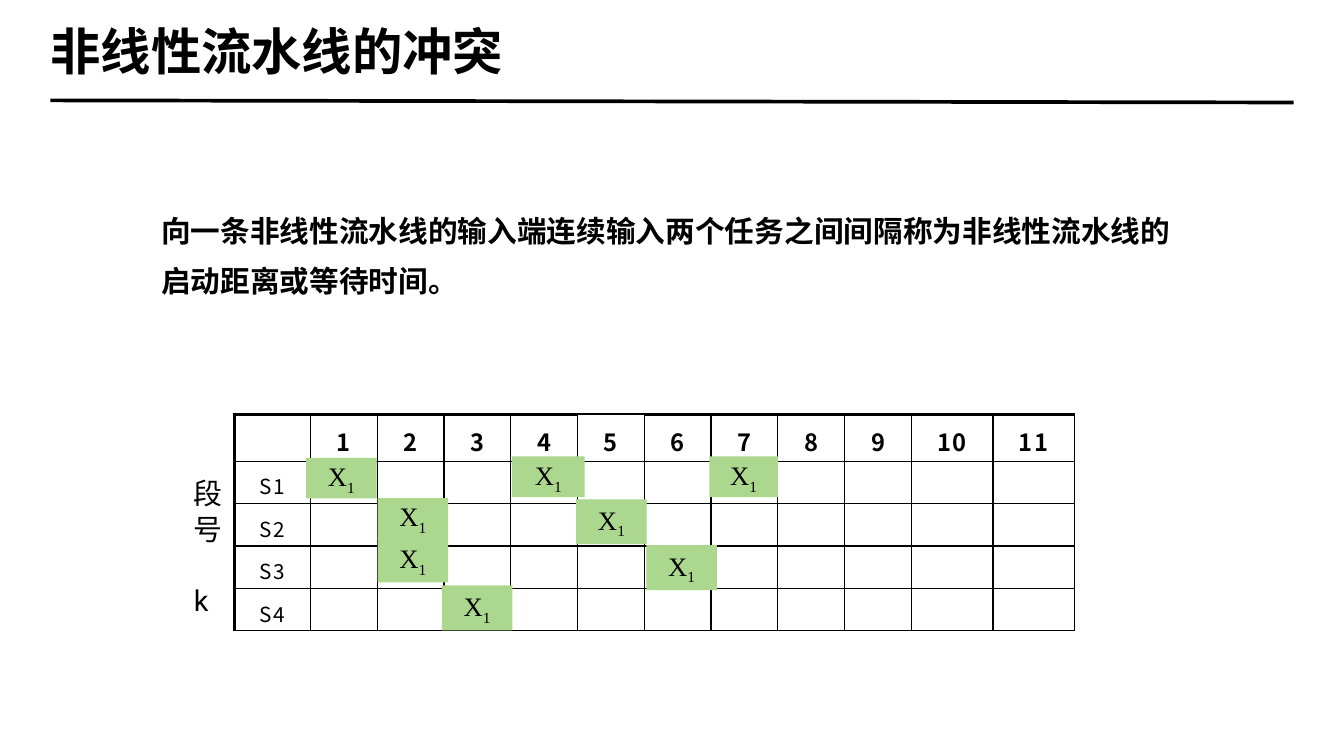
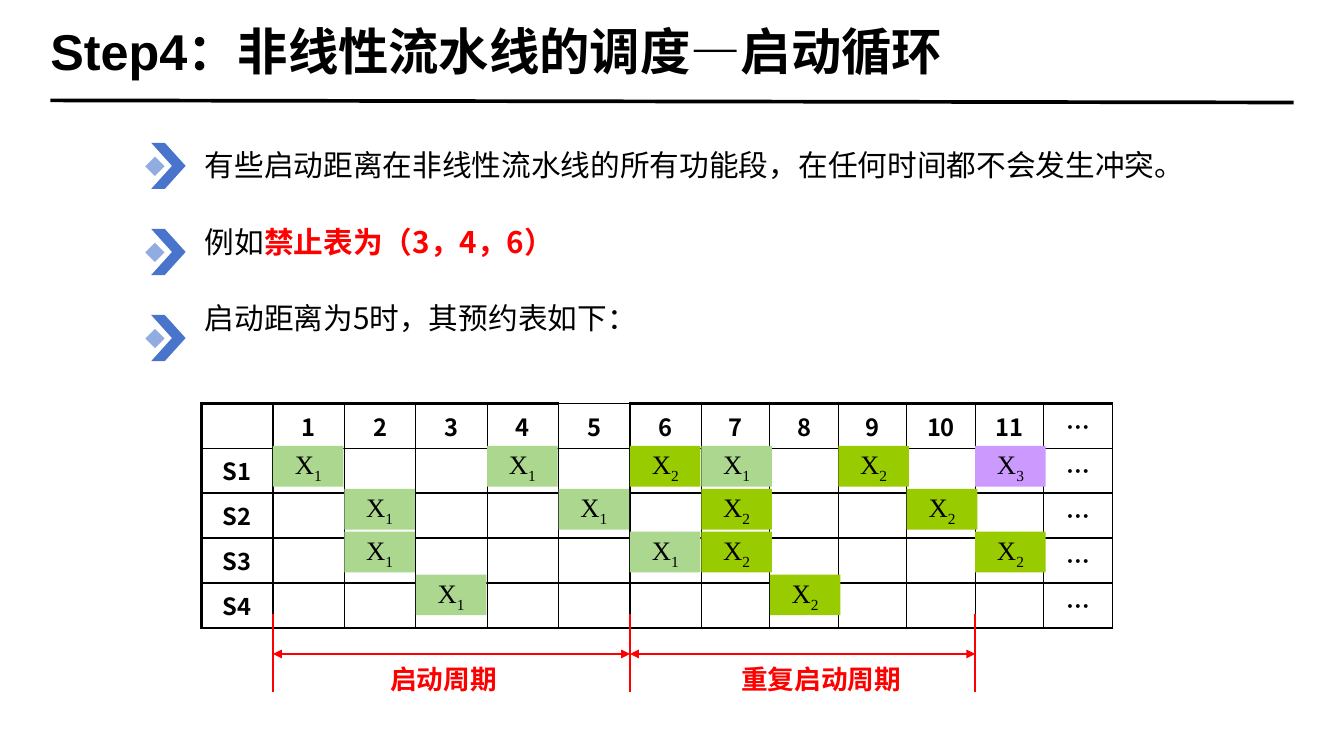
"""Build two slides on conflicts and scheduling in a nonlinear pipeline."""
from itertools import accumulate

from pptx import Presentation
from pptx.dml.color import RGBColor
from pptx.enum import shapes, text
from pptx.oxml import xmlchemy as xml
from pptx.util import Cm, Pt

BLACK, RED = "000000", "FF0000"
TASK_COLORS = {1: "ACD78E", 2: "99CC00", 3: "CC99FF"}
CJK, SERIF = "Noto Sans CJK SC", "Times New Roman"
LEFT, CENTER = text.PP_ALIGN.LEFT, text.PP_ALIGN.CENTER


def write(frame, *paragraphs, font=CJK, size=20, color=BLACK, bold=False, align=LEFT,
          line=1.0, gap=0, spacing=None, anchor=text.MSO_ANCHOR.TOP, wrap=True):
    """Fill a text frame; each paragraph is a string or a list of (text, changes)."""
    frame.word_wrap = wrap
    frame.vertical_anchor = anchor
    for number, content in enumerate(paragraphs):
        paragraph = frame.add_paragraph() if number else frame.paragraphs[0]
        properties = paragraph._p.get_or_add_pPr()
        properties.set("marL", "0")
        properties.set("indent", "0")
        properties.append(xml.OxmlElement("a:buNone"))
        paragraph.alignment = align
        paragraph.line_spacing = line
        paragraph.space_before = Pt(gap if number else 0)
        for words, changes in [(content, {})] if isinstance(content, str) else content:
            run = paragraph.add_run()
            run.text = words
            run.font.name = font
            run.font.size = Pt(size)
            run.font.bold = changes.get("bold", bold)
            run.font.color.rgb = RGBColor.from_string(changes.get("color", color))
            run_properties = run.font._element
            east_asian = xml.OxmlElement("a:ea")
            east_asian.set("typeface", CJK)
            run_properties.append(east_asian)
            if spacing:
                run_properties.set("spc", str(spacing))
            if "baseline" in changes:
                run_properties.set("baseline", changes["baseline"])


def draw_line(slide, x1, y1, x2, y2, color, width, arrows=False):
    """Draw a straight line, with an arrowhead at both ends if asked."""
    line = slide.shapes.add_connector(
        shapes.MSO_CONNECTOR.STRAIGHT, Cm(x1), Cm(y1), Cm(x2), Cm(y2))
    line.line.color.rgb = RGBColor.from_string(color)
    line.line.width = Pt(width)
    if arrows:
        for end in ("a:headEnd", "a:tailEnd"):
            arrowhead = xml.OxmlElement(end)
            arrowhead.set("type", "triangle")
            line.line._get_or_add_ln().append(arrowhead)
    line._element.spPr.append(xml.OxmlElement("a:effectLst"))
    return line


deck = Presentation()
deck.slide_width, deck.slide_height = Cm(32), Cm(18)
layout = deck.slide_layouts[1]
title_area = layout.placeholders[0]
title_area.left, title_area.top = Cm(1.2), Cm(0.4)
title_area.width, title_area.height = Cm(29.6), Cm(1.6)

conflict, schedule = deck.slides.add_slide(layout), deck.slides.add_slide(layout)
rule = draw_line(conflict, 1.2, 2.39, 30.8, 2.44, BLACK, 2.5)
layout.shapes.element.append(rule._element)

for slide, heading in ((conflict, "非线性流水线的冲突"),
                       (schedule, "Step4：非线性流水线的调度—启动循环")):
    frame = slide.shapes.title.text_frame
    frame.margin_left = frame.margin_right = frame.margin_top = frame.margin_bottom = 0
    frame.auto_size = text.MSO_AUTO_SIZE.NONE
    write(frame, heading, font="Arial", size=34, bold=True, anchor=text.MSO_ANCHOR.MIDDLE)

for slide, left, top, width, height in ((conflict, 3.58, 4.6, 24.87, 2.64),
                                        (schedule, 4.62, 3.2, 26.5, 5.6)):
    body = slide.placeholders[1]
    body.left, body.top, body.width, body.height = Cm(left), Cm(top), Cm(width), Cm(height)
    body.text_frame.auto_size = text.MSO_AUTO_SIZE.NONE

write(conflict.placeholders[1].text_frame,
      "向一条非线性流水线的输入端连续输入两个任务之间间隔称为非线性流水线的启动距离或等待时间。",
      font=SERIF, bold=True, line=1.4)
write(schedule.placeholders[1].text_frame,
      "有些启动距离在非线性流水线的所有功能段，在任何时间都不会发生冲突。",
      [("例如", {}), ("禁止表为（3，4，6）", {"color": RED, "bold": True})],
      "启动距离为5时，其预约表如下：", line=1.2, gap=23)

for item in range(3):
    for preset, left, top, width, height, color in (
            (shapes.MSO_SHAPE.CHEVRON, 3.6, 3.4, 0.82, 1.1, "4874CB"),
            (shapes.MSO_SHAPE.DIAMOND, 3.46, 3.73, 0.46, 0.46, "91ACE0")):
        marker = schedule.shapes.add_shape(
            preset, Cm(left), Cm(top + 2.05 * item), Cm(width), Cm(height))
        if preset == shapes.MSO_SHAPE.CHEVRON:
            marker.adjustments[0] = 0.605
        marker.shadow.inherit = False
        marker.fill.solid()
        marker.fill.fore_color.rgb = RGBColor.from_string(color)
        marker.line.fill.background()

stage_label = conflict.shapes.add_textbox(Cm(4.37), Cm(11.18), Cm(1.1), Cm(2.84))
write(stage_label.text_frame, "段号", "k", font="Roboto", size=19.5, line=Pt(24.3), gap=23)

times = [str(time) for time in range(1, 12)]
conflict_columns = [1.8] + [1.59] * 9 + [1.94] * 2
schedule_columns = [1.7] * 7 + [1.63] * 6
for slide, left, top, columns, rows, header, tail, formats in (
        (conflict, 5.59, 9.86, conflict_columns, [1.12] + [1.01] * 4, times, [],
         {"line": 1.2, "spacing": 120}),
        (schedule, 4.8, 9.6, schedule_columns, [1.07] * 5, times + ["…"], ["…"], {})):
    table = slide.shapes.add_table(len(rows), len(columns), Cm(left), Cm(top),
                                   Cm(sum(columns)), Cm(sum(rows))).table
    table.first_row = table.horz_banding = False
    for column, width in zip(table.columns, columns):
        column.width = Cm(width)
    for row, height in zip(table.rows, rows):
        row.height = Cm(height)
    blanks = [""] * (len(columns) - 1 - len(tail))
    grid = [[""] + header] + [[f"S{stage}"] + blanks + tail for stage in range(1, 5)]
    for row, words_in_row in enumerate(grid):
        for column, words in enumerate(words_in_row):
            cell = table.cell(row, column)
            cell.margin_left = cell.margin_right = 0
            cell.margin_top = cell.margin_bottom = Cm(0.08 if slide == conflict else 0.12)
            cell.vertical_anchor = text.MSO_ANCHOR.MIDDLE
            if words:
                light = slide == conflict and row > 0
                write(cell.text_frame, words, size=14 if light else 16, bold=not light,
                      align=CENTER, anchor=text.MSO_ANCHOR.MIDDLE, **formats)
            heavy = {"L": column == 0, "T": row == 0 and column != 5}
            properties = cell._tc.get_or_add_tcPr()
            for side in "LRTB":
                border = xml.OxmlElement(f"a:ln{side}")
                border.set("w", str(Pt(2.25 if heavy.get(side) else 1)))
                fill = xml.OxmlElement("a:solidFill")
                color = xml.OxmlElement("a:srgbClr")
                color.set("val", BLACK)
                fill.append(color)
                border.append(fill)
                properties.append(border)
            cell.fill.background()

bookings = [(conflict, 1, *place) for place in (
    (7.29, 10.9, 1.68, 0.97), (8.99, 11.86, 1.68, 0.97), (8.99, 12.8, 1.68, 1.07),
    (10.52, 13.94, 1.68, 1.07), (12.19, 10.87, 1.73, 0.97), (13.72, 11.89, 1.68, 1.07),
    (15.39, 12.98, 1.68, 1.07), (16.89, 10.87, 1.63, 0.97))]
edges = list(accumulate(schedule_columns, initial=4.8))
for task, slots in ((1, ((1, 1), (2, 2), (2, 3), (3, 4), (4, 1), (5, 2), (6, 3), (7, 1))),
                    (2, ((6, 1), (7, 2), (7, 3), (8, 4), (9, 1), (10, 2), (11, 3))),
                    (3, ((11, 1),))):
    bookings += [(schedule, task, edges[time], 10.62 + 1.02 * (stage - 1), 1.68, 0.97)
                 for time, stage in slots]

for slide, task, left, top, width, height in bookings:
    booking = slide.shapes.add_shape(
        shapes.MSO_SHAPE.RECTANGLE, Cm(left), Cm(top), Cm(width), Cm(height))
    booking.shadow.inherit = False
    booking.fill.solid()
    booking.fill.fore_color.rgb = RGBColor.from_string(TASK_COLORS[task])
    booking.line.fill.background()
    write(booking.text_frame, [("X", {}), (str(task), {"baseline": "-25000"})], font=SERIF,
          size=18, align=CENTER, anchor=text.MSO_ANCHOR.MIDDLE, wrap=False)

cycle_edges = [edges[time] for time in (1, 6, 11)]
for edge in cycle_edges:
    draw_line(schedule, edge, 14.63, edge, 16.48, RED, 1.5)
for start, end, words, left, width in zip(
        cycle_edges, cycle_edges[1:], ("启动周期", "重复启动周期"), (9.04, 17.4), (3.07, 4.39)):
    draw_line(schedule, start, 15.57, end, 15.57, RED, 1.5, arrows=True)
    cycle = schedule.shapes.add_textbox(Cm(left), Cm(15.65), Cm(width), Cm(1.02))
    write(cycle.text_frame, words, font=SERIF, size=18, color=RED, bold=True, wrap=False)

deck.save("out.pptx")
